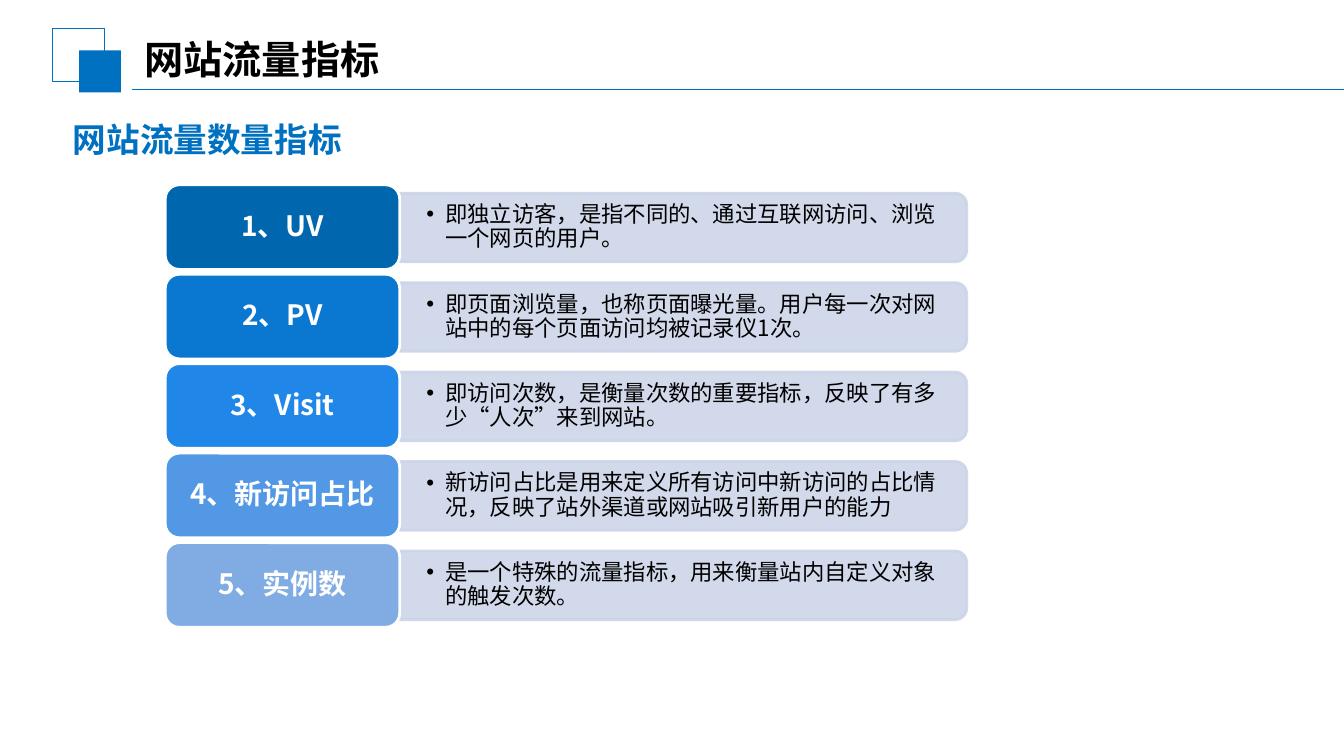
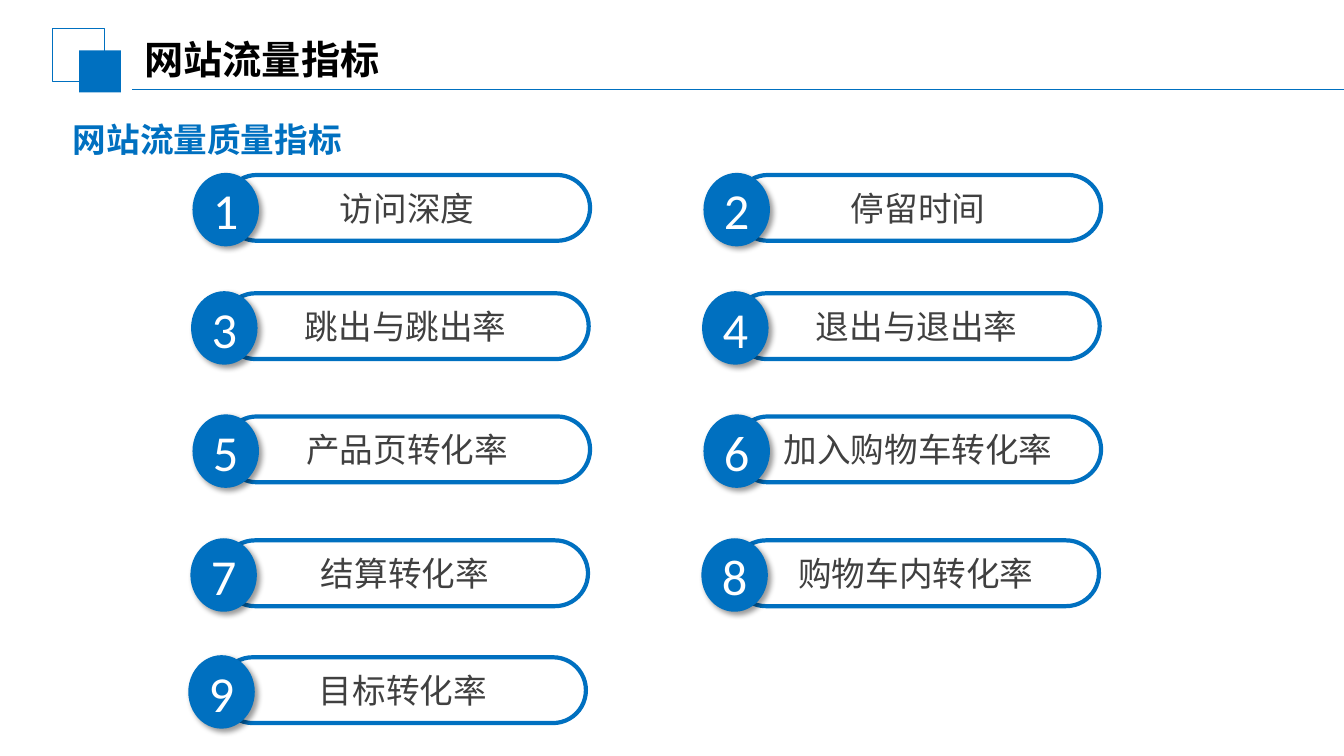
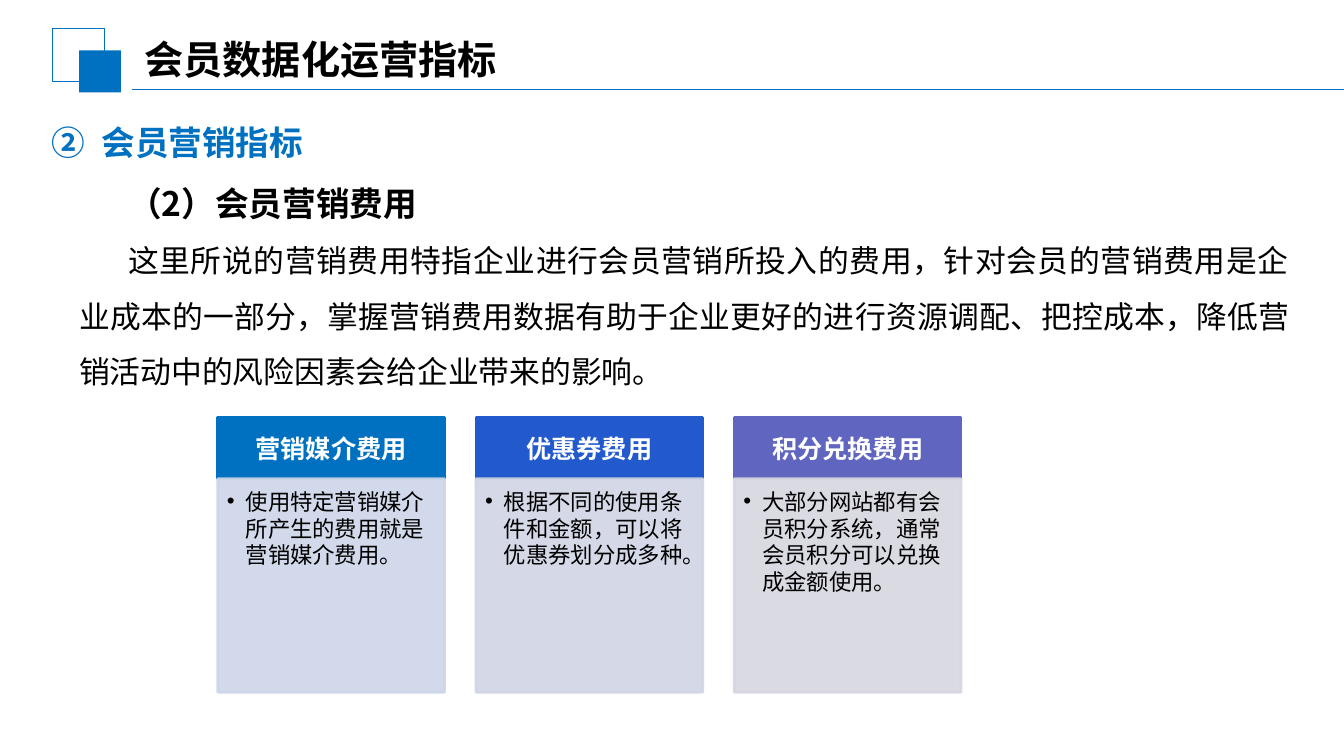
from dataclasses import dataclass

from lxml import etree
from pptx import Presentation
from pptx.dml.color import RGBColor
from pptx.enum import shapes, text
from pptx.oxml import ns
from pptx.util import Pt

SHAPE = shapes.MSO_SHAPE
ALIGN = text.PP_ALIGN
ANCHOR = text.MSO_ANCHOR


@dataclass(frozen=True)
class Theme:
    blue: str = "0070C0"
    black: str = "000000"
    white: str = "FFFFFF"
    grey: str = "404040"
    pale: str = "CCD5E8"
    steps: tuple = ("0066AE", "0A78D1", "2087E9", "5298E4", "80ACE3")
    heads: tuple = ("0070C0", "225ACE", "6066C0")
    panels: tuple = ("CCD5E8", "D1D4E4", "D7D6E0")
    latin: str = "Calibri"
    cjk: str = "Noto Sans CJK SC"
    title: int = 28
    heading: int = 24
    body: int = 22
    label: int = 20
    card: int = 18
    detail: int = 16
    badge: int = 36


T = Theme()

METRICS = [
    ("1、UV", "即独立访客，是指不同的、通过互联网访问、浏览一个网页的用户。"),
    ("2、PV", "即页面浏览量，也称页面曝光量。用户每一次对网站中的每个页面访问均被记录仪1次。"),
    ("3、Visit", "即访问次数，是衡量次数的重要指标，反映了有多少“人次”来到网站。"),
    ("4、新访问占比", "新访问占比是用来定义所有访问中新访问的占比情况，反映了站外渠道或网站吸引新用户的能力"),
    ("5、实例数", "是一个特殊的流量指标，用来衡量站内自定义对象的触发次数。"),
]
QUALITY = ["访问深度", "停留时间", "跳出与跳出率", "退出与退出率", "产品页转化率",
           "加入购物车转化率", "结算转化率", "购物车内转化率", "目标转化率"]
QUALITY_ROWS = [(160, 125), (159, 209.5), (160, 297.5), (158.5, 386), (157, 469.5)]
COSTS = [
    ("营销媒介费用", "使用特定营销媒介所产生的费用就是营销媒介费用。"),
    ("优惠券费用", "根据不同的使用条件和金额，可以将优惠券划分成多种。"),
    ("积分兑换费用", "大部分网站都有会员积分系统，通常会员积分可以兑换成金额使用。"),
]
COST_INTRO = ("这里所说的营销费用特指企业进行会员营销所投入的费用，针对会员的营销费用是企业成本的一部分，"
              "掌握营销费用数据有助于企业更好的进行资源调配、把控成本，降低营销活动中的风险因素会给企业带来的影响。")


def rgb(value):
    return RGBColor.from_string(value)


def child(parent, tag, **attrs):
    e = etree.SubElement(parent, ns.qn(tag))
    for name, value in attrs.items():
        e.set(name, str(value))
    return e


def write(p, words, size, color, bold=False, align=None, spacing=None,
          indent=None, bullet=None, number=None, font=T.cjk):
    """Fill a paragraph; indent is (left margin, first line) in points."""
    p.text = words
    if align is not None:
        p.alignment = align
    if spacing:
        p.line_spacing = spacing
    pPr = p._p.get_or_add_pPr()
    if indent:
        pPr.set("marL", str(Pt(indent[0])))
        pPr.set("indent", str(Pt(indent[1])))
    if bullet:
        child(pPr, "a:buFont", typeface="Arial")
        child(pPr, "a:buChar", char=bullet)
    if number:
        child(pPr, "a:buAutoNum", type="circleNumDbPlain", startAt=number)
    p.font.size = Pt(size)
    p.font.bold = bold
    p.font.color.rgb = rgb(color)
    p.font.name = font
    child(pPr.find(ns.qn("a:defRPr")), "a:ea", typeface=T.cjk)


def frame(sp, anchor=ANCHOR.TOP, margins=(7.2, 3.6, 7.2, 3.6)):
    tf = sp.text_frame
    tf.word_wrap = True
    tf.vertical_anchor = anchor
    tf.margin_left, tf.margin_top, tf.margin_right, tf.margin_bottom = map(Pt, margins)
    return tf


def box(slide, kind, x, y, w, h, fill=None, line=None, width=2, alpha=None):
    sp = slide.shapes.add_shape(kind, Pt(x), Pt(y), Pt(w), Pt(h))
    sp.shadow.inherit = False
    if fill:
        sp.fill.solid()
        sp.fill.fore_color.rgb = rgb(fill)
    else:
        sp.fill.background()
    if line:
        sp.line.color.rgb = rgb(line)
        sp.line.width = Pt(width)
    else:
        sp.line.fill.background()
    if alpha:
        for color in list(sp.element.spPr.iter(ns.qn("a:srgbClr"))):
            child(color, "a:alpha", val=alpha * 1000)
    return sp


def textbox(slide, x, y, w, h, **layout):
    return frame(slide.shapes.add_textbox(Pt(x), Pt(y), Pt(w), Pt(h)), **layout)


def drop_shadow(sp):
    effects = sp.element.spPr.find(ns.qn("a:effectLst"))
    shadow = child(effects, "a:outerShdw", blurRad=Pt(4), dist=Pt(3),
                   dir=45 * 60000, algn="tl", rotWithShape=0)
    child(child(shadow, "a:srgbClr", val=T.black), "a:alpha", val=40000)


def style_title(prs, layout):
    style = prs.slide_master.element.find(".//" + ns.qn("p:titleStyle"))
    level = style.find(ns.qn("a:lvl1pPr"))
    level.set("algn", "l")
    font = level.find(ns.qn("a:defRPr"))
    font.set("sz", str(T.title * 100))
    font.set("b", "1")
    title = layout.placeholders[0]
    title.left, title.top, title.width, title.height = map(Pt, (93.6, 21, 568, 41.5))
    frame(title, ANCHOR.MIDDLE, (9.6, 4.8, 9.6, 4.8))


def decorate(layout, slide):
    """Draw the header marks and move them to the layout shared by all slides."""
    outline = box(slide, SHAPE.RECTANGLE, 37.5, 20.5, 37.5, 38, line=T.blue, width=0.75)
    square = box(slide, SHAPE.RECTANGLE, 56.5, 36, 30, 30, T.blue)
    rule = slide.shapes.add_connector(shapes.MSO_CONNECTOR.STRAIGHT,
                                      Pt(94.5), Pt(64), Pt(960), Pt(64))
    rule.line.color.rgb = rgb(T.blue)
    rule.line.width = Pt(1.25)
    child(rule.element.spPr, "a:effectLst")
    for mark in (outline, square, rule):
        layout.shapes.element.append(mark.element)


def add_slide(prs, layout, title):
    slide = prs.slides.add_slide(layout)
    slide.shapes.title.text = title
    return slide


def subheading(slide, words):
    tf = textbox(slide, 21, 81.5, 292, 36)
    write(tf.paragraphs[0], words, T.heading, T.blue, True, indent=(0, 24))


def metric_row(slide, y, color, label, detail):
    w, h = 405, 49
    x, top = 285.5, y + 6
    bar = box(slide, SHAPE.ROUND_2_SAME_RECTANGLE, x + (w - h) / 2, top - (w - h) / 2,
              h, w, T.pale, T.pale, alpha=90)
    bar.rotation = 90
    tf = textbox(slide, x, top + 2.5, 403, 44, anchor=ANCHOR.MIDDLE,
                 margins=(19, 10, 19, 10))
    write(tf.paragraphs[0], detail, T.detail, T.black, spacing=0.9,
          indent=(13.5, -13.5), bullet="•")
    tag = box(slide, SHAPE.ROUNDED_RECTANGLE, 118, y, 167.5, 60.5, color, T.white)
    tf = frame(tag, ANCHOR.MIDDLE, (6, 3, 6, 3))
    write(tf.paragraphs[0], label, T.label, T.white, True, ALIGN.CENTER, 0.9)


def numbered_pill(slide, x, y, number, label):
    pill = box(slide, SHAPE.ROUNDED_RECTANGLE, x, y, 261.5, 47, line=T.blue, width=3)
    pill.adjustments[0] = 0.5
    write(frame(pill, ANCHOR.MIDDLE).paragraphs[0], label, T.heading, T.grey,
          align=ALIGN.CENTER)
    badge = box(slide, SHAPE.OVAL, x - 22.5, y - 1.5, 47.5, 52.5, T.blue)
    drop_shadow(badge)
    write(frame(badge, ANCHOR.MIDDLE).paragraphs[0], str(number), T.badge, T.white,
          align=ALIGN.CENTER, font=T.latin)


def cost_card(slide, x, head_color, panel_color, head, detail):
    y, w, head_h = 298, 162, 44
    top = box(slide, SHAPE.RECTANGLE, x, y, w, head_h, head_color, head_color)
    tf = frame(top, ANCHOR.MIDDLE, (10, 6, 10, 6))
    write(tf.paragraphs[0], head, T.card, T.white, True, ALIGN.CENTER)
    panel = box(slide, SHAPE.RECTANGLE, x, y + head_h, w, 152.5, panel_color,
                panel_color, alpha=90)
    tf = frame(panel, margins=(6.5, 6.5, 8.5, 10))
    write(tf.paragraphs[0], detail, T.detail, T.black, align=ALIGN.LEFT,
          indent=(13.5, -13.5), bullet="•")


def quantity_slide(slide):
    subheading(slide, "网站流量数量指标")
    for i, (color, (label, detail)) in enumerate(zip(T.steps, METRICS)):
        metric_row(slide, 132 + 63.9 * i, color, label, detail)


def quality_slide(slide):
    subheading(slide, "网站流量质量指标")
    for i, label in enumerate(QUALITY):
        row, column = divmod(i, 2)
        x, y = QUALITY_ROWS[row]
        numbered_pill(slide, x + 365 * column, y, i + 1, label)


def cost_slide(slide):
    tf = textbox(slide, 29.5, 83.5, 509, 36)
    write(tf.paragraphs[0], "会员营销指标", T.heading, T.blue, True,
          indent=(36, -36), number=2)
    tf = textbox(slide, 49.5, 113, 879, 170.5)
    flow = dict(align=ALIGN.JUSTIFY, spacing=1.5, indent=(0, 35))
    write(tf.paragraphs[0], "（2）会员营销费用", T.heading, T.black, True, **flow)
    write(tf.add_paragraph(), COST_INTRO, T.body, T.black, **flow)
    for i, (head, panel, words) in enumerate(zip(T.heads, T.panels, COSTS)):
        cost_card(slide, 155.5 + 184.5 * i, head, panel, *words)


def main():
    prs = Presentation()
    prs.slide_width, prs.slide_height = Pt(960), Pt(540)
    layout = prs.slide_layouts.get_by_name("Title Only")
    style_title(prs, layout)
    pages = [("网站流量指标", quantity_slide), ("网站流量指标", quality_slide),
             ("会员数据化运营指标", cost_slide)]
    for i, (title, fill_slide) in enumerate(pages):
        slide = add_slide(prs, layout, title)
        if i == 0:
            decorate(layout, slide)
        fill_slide(slide)
    prs.save("out.pptx")


if __name__ == "__main__":
    main()
